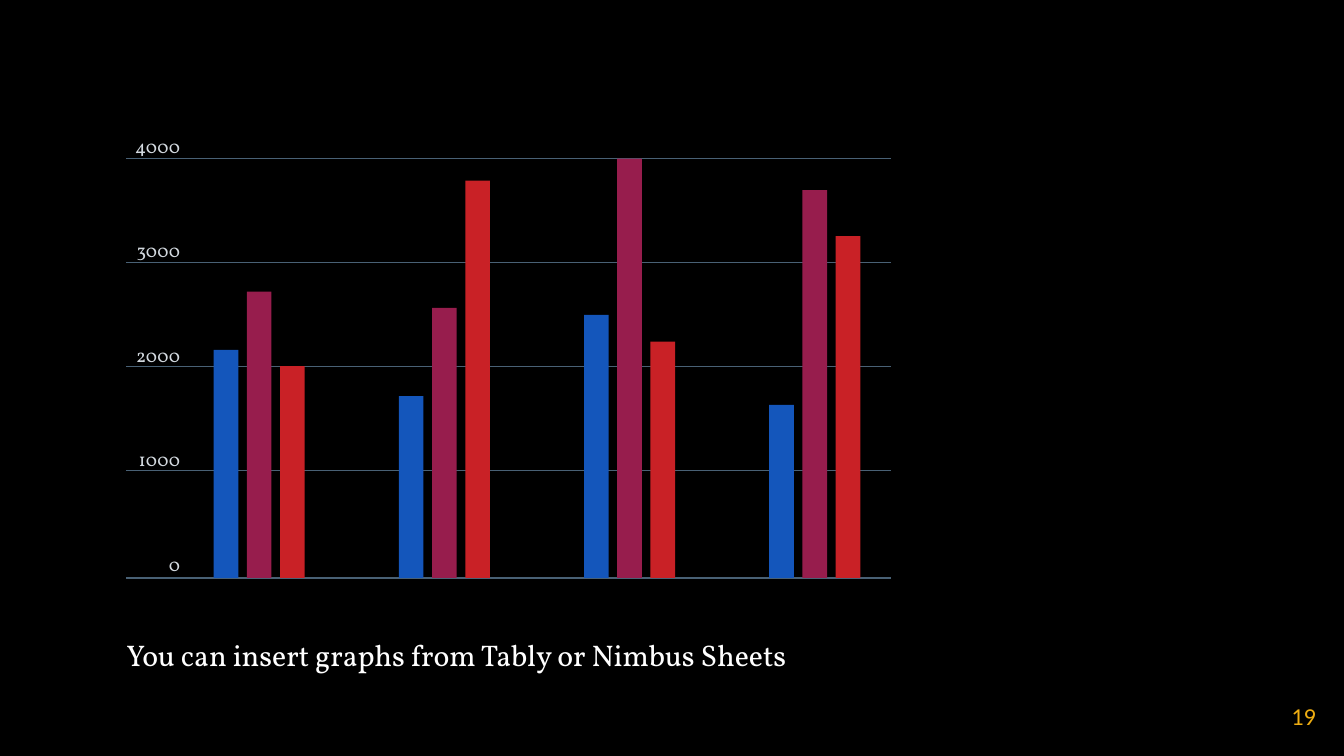
from lxml.etree import SubElement
from pptx import Presentation
from pptx.dml.color import RGBColor
from pptx.enum.shapes import MSO_CONNECTOR, MSO_SHAPE
from pptx.enum.text import MSO_ANCHOR, PP_ALIGN
from pptx.oxml.ns import qn
from pptx.util import Pt

BLACK = RGBColor(0x00, 0x00, 0x00)
WHITE = RGBColor(0xFF, 0xFF, 0xFF)
GOLD = RGBColor(0xEE, 0xAD, 0x12)
GRID = RGBColor(0x49, 0x61, 0x75)
LABEL = RGBColor(0xD3, 0xD9, 0xDF)
BLUE = RGBColor(0x14, 0x56, 0xBB)
PLUM = RGBColor(0x97, 0x1D, 0x4D)
RED = RGBColor(0xC9, 0x21, 0x26)

SERIES_COLORS = (BLUE, PLUM, RED)
GROUPS = (
    (2175, 2730, 2020),
    (1735, 2575, 3790),
    (2510, 4000, 2255),
    (1650, 3700, 3260),
)
AXIS_LABELS = ("4000", "3000", "2000", "1000", "0")
AXIS_MAX = 4000

# Chart layout, in points
CHART_LEFT, CHART_RIGHT = 67.7, 477.4
CHART_TOP, BASELINE = 85, 309.6
GRID_STEP = 55.75
FIRST_BAR, GROUP_STEP = 114.5, 99.2
BAR_STEP, BAR_WIDTH = 17.8, 13.2


def add_text(slide, lines, left, top, width, height, font, size, color,
             align=PP_ALIGN.LEFT, anchor=MSO_ANCHOR.TOP, gap=0):
    box = slide.shapes.add_textbox(Pt(left), Pt(top), Pt(width), Pt(height))
    frame = box.text_frame
    frame.word_wrap = True
    frame.vertical_anchor = anchor
    frame.margin_left = frame.margin_right = 0
    frame.margin_top = frame.margin_bottom = 0
    for index, line in enumerate(lines):
        paragraph = frame.add_paragraph() if index else frame.paragraphs[0]
        paragraph.text = line
        paragraph.alignment = align
        if index:
            paragraph.space_before = Pt(gap)
        paragraph.font.name = font
        paragraph.font.size = Pt(size)
        paragraph.font.color.rgb = color


def add_gridline(slide, y):
    line = slide.shapes.add_connector(
        MSO_CONNECTOR.STRAIGHT, Pt(CHART_LEFT), Pt(y), Pt(CHART_RIGHT), Pt(y))
    line.line.color.rgb = GRID
    line.line.width = Pt(0.75)
    SubElement(line._element.spPr, qn("a:effectLst"))


def add_bar(slide, left, value, color):
    height = (BASELINE - CHART_TOP) * value / AXIS_MAX
    bar = slide.shapes.add_shape(
        MSO_SHAPE.RECTANGLE, Pt(left), Pt(BASELINE - height), Pt(BAR_WIDTH), Pt(height))
    bar.shadow.inherit = False
    bar.fill.solid()
    bar.fill.fore_color.rgb = color
    bar.line.fill.background()


def main():
    presentation = Presentation()
    presentation.slide_width = Pt(720)
    presentation.slide_height = Pt(405)
    slide = presentation.slides.add_slide(presentation.slide_layouts[6])
    slide.background.fill.solid()
    slide.background.fill.fore_color.rgb = BLACK

    # Caption and slide number
    add_text(slide, ["You can insert graphs from Tably or Nimbus Sheets"],
             CHART_LEFT, 341.3, 585.4, 25.2, "Vollkorn", 16, WHITE)
    add_text(slide, ["19"], 661.7, 368, 43.2, 31, "Calibri", 13, GOLD,
             PP_ALIGN.RIGHT, MSO_ANCHOR.MIDDLE)

    # Gridlines: the lowest one sits on the baseline
    for index in range(4):
        add_gridline(slide, CHART_TOP + index * GRID_STEP)
    add_gridline(slide, BASELINE)

    # Axis labels
    add_text(slide, AXIS_LABELS, CHART_LEFT, 72, 28.8, 238.3,
             "Vollkorn", 10, LABEL, PP_ALIGN.RIGHT, gap=44)

    # Bars
    for group, values in enumerate(GROUPS):
        for series, (value, color) in enumerate(zip(values, SERIES_COLORS)):
            left = FIRST_BAR + group * GROUP_STEP + series * BAR_STEP
            add_bar(slide, left, value, color)

    presentation.save("out.pptx")


if __name__ == "__main__":
    main()
